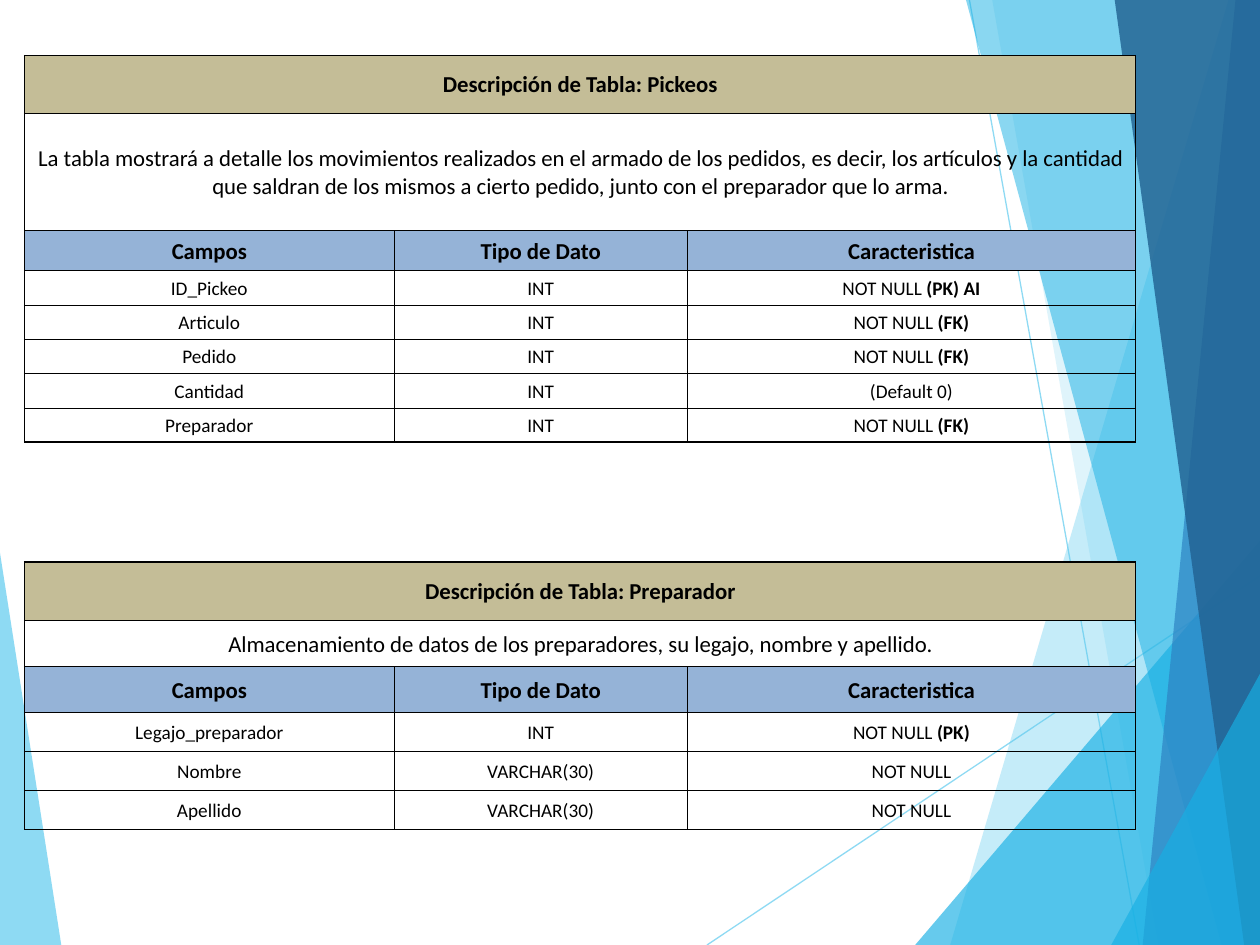
from lxml import etree
from pptx import Presentation
from pptx.dml.color import RGBColor
from pptx.enum.shapes import MSO_CONNECTOR
from pptx.enum.text import MSO_ANCHOR, PP_ALIGN
from pptx.oxml.ns import qn
from pptx.util import Pt

STRAIGHT = MSO_CONNECTOR.STRAIGHT
MIDDLE = MSO_ANCHOR.MIDDLE
CENTER = PP_ALIGN.CENTER

BLACK = RGBColor(0x00, 0x00, 0x00)
TAN = RGBColor(0xC4, 0xBD, 0x97)
PERIWINKLE = RGBColor(0x95, 0xB3, 0xD7)
SKY = RGBColor(0x5F, 0xCB, 0xEF)
CYAN = RGBColor(0x17, 0xB0, 0xE4)
BLUE = RGBColor(0x2E, 0x83, 0xC3)
NAVY = RGBColor(0x22, 0x62, 0x92)

WIDTH, HEIGHT = 720, 540
TABLE_LEFT = 14
COLUMN_WIDTHS = (211.2, 167.5, 256.3)
OUTER_LINE, INNER_LINE = 1, 0.5
CELL_FORMAT = {
    "vertical_anchor": MIDDLE,
    "margin_left": Pt(0.7),
    "margin_top": Pt(0.7),
    "margin_right": Pt(0.7),
    "margin_bottom": Pt(0),
}
HEADINGS = (("Campos",), ("Tipo de Dato",), ("Caracteristica",))

# Colour, opacity in percent, corner points
LEFT_FACET = (SKY, 70, ((0, 316), (35, HEIGHT), (0, HEIGHT)))
RIGHT_FACETS = (
    (SKY, 36, ((702, 0), (543, HEIGHT), (WIDTH, HEIGHT), (WIDTH, 0))),
    (SKY, 20, ((567, 0), (662, HEIGHT), (WIDTH, HEIGHT), (WIDTH, 0))),
    (CYAN, 66, ((523, HEIGHT), (WIDTH, 309), (WIDTH, HEIGHT))),
    (CYAN, 50, ((552, 0), (698, HEIGHT), (WIDTH, HEIGHT), (WIDTH, 0))),
    (BLUE, 70, ((706, 0), (653, HEIGHT), (WIDTH, HEIGHT), (WIDTH, 0))),
    (NAVY, 82, ((637, 0), (711, HEIGHT), (WIDTH, HEIGHT), (WIDTH, 0))),
    (CYAN, 66, ((635, HEIGHT), (WIDTH, 385), (WIDTH, HEIGHT))),
)
RAYS = ((404, HEIGHT, WIDTH, 329), (554, 0, 651, HEIGHT))

# The second part of a characteristic is bold
PICKEOS = {
    "top": 31.8,
    "head_heights": (33, 67, 23),
    "field_height": 19.6,
    "title": "Descripción de Tabla: Pickeos",
    "summary": "La tabla mostrará a detalle los movimientos realizados en el "
               "armado de los pedidos, es decir, los artículos y la cantidad "
               "que saldran de los mismos a cierto pedido, junto con el "
               "preparador que lo arma.",
    "fields": (
        (("ID_Pickeo",), ("INT",), ("NOT NULL ", "(PK) AI")),
        (("Articulo",), ("INT",), ("NOT NULL ", "(FK)")),
        (("Pedido",), ("INT",), ("NOT NULL ", "(FK)")),
        (("Cantidad",), ("INT",), ("(Default 0)",)),
        (("Preparador",), ("INT",), ("NOT NULL ", "(FK)")),
    ),
}
PREPARADOR = {
    "top": 321.2,
    "head_heights": (33.5, 26.3, 26.3),
    "field_height": 22.3,
    "title": "Descripción de Tabla: Preparador",
    "summary": "Almacenamiento de datos de los preparadores, su legajo, "
               "nombre y apellido.",
    "fields": (
        (("Legajo_preparador",), ("INT",), ("NOT NULL ", "(PK)")),
        (("Nombre",), ("VARCHAR(30)",), ("NOT NULL",)),
        (("Apellido",), ("VARCHAR(30)",), ("NOT NULL",)),
    ),
}


def set_opacity(fill_parent, percent):
    """Make the solid colour found under an XML element partly transparent."""
    color = fill_parent.find(".//" + qn("a:srgbClr"))
    etree.SubElement(color, qn("a:alpha"), val=str(percent * 1000))


def add_facet(page, color, opacity, corners):
    builder = page.shapes.build_freeform(*corners[0], scale=Pt(1))
    builder.add_line_segments(corners[1:], close=True)
    facet = builder.convert_to_shape()
    facet.shadow.inherit = False
    facet.fill.solid()
    facet.fill.fore_color.rgb = color
    facet.line.fill.background()
    set_opacity(facet._element.spPr, opacity)


def add_ray(page, *ends):
    ray = page.shapes.add_connector(STRAIGHT, *map(Pt, ends))
    ray.line.color.rgb = SKY
    ray.line.width = Pt(0.75)
    properties = ray._element.spPr
    set_opacity(properties, 70)
    etree.SubElement(properties, qn("a:effectLst"))


def set_borders(cell, widths):
    """Draw black borders from a dict of side letter (L, R, T, B) to width."""
    properties = cell._tc.get_or_add_tcPr()
    for side, width in widths.items():
        line = etree.SubElement(properties, qn("a:ln" + side), w=str(Pt(width)))
        fill = etree.SubElement(line, qn("a:solidFill"))
        etree.SubElement(fill, qn("a:srgbClr"), val=str(BLACK))


def fill_cell(cell, color):
    if color is None:
        cell.fill.background()
    else:
        cell.fill.solid()
        cell.fill.fore_color.rgb = color


def write_cell(cell, parts, size, bold):
    """Write the text parts; any part after the first is bold."""
    para = cell.text_frame.paragraphs[0]
    para.alignment = CENTER
    for index, part in enumerate(parts):
        span = para.add_run()
        span.text = part
        span.font.color.rgb = BLACK
        font_format = {"name": "Calibri", "size": Pt(size), "bold": bold or index > 0}
        for name, value in font_format.items():
            setattr(span.font, name, value)


def add_description_table(page, content):
    # Text parts, fill, size and weight of each row
    rows = [
        (((content["title"],),), TAN, 13, True),
        (((content["summary"],),), None, 13, False),
        (HEADINGS, PERIWINKLE, 13, True),
    ]
    rows += [(field, None, 11, False) for field in content["fields"]]
    heights = list(content["head_heights"])
    heights += [content["field_height"]] * len(content["fields"])

    frame = page.shapes.add_table(
        len(rows), len(COLUMN_WIDTHS), Pt(TABLE_LEFT), Pt(content["top"]),
        Pt(sum(COLUMN_WIDTHS)), Pt(sum(heights)))
    table = frame.table
    table.first_row = table.horz_banding = False
    for column, width in zip(table.columns, COLUMN_WIDTHS):
        column.width = Pt(width)

    last_row, last_column = len(rows) - 1, len(COLUMN_WIDTHS) - 1
    for y, (texts, color, size, bold) in enumerate(rows):
        table.rows[y].height = Pt(heights[y])
        if len(texts) == 1:
            table.cell(y, 0).merge(table.cell(y, last_column))
        for x in range(last_column + 1):
            cell = table.cell(y, x)
            outer = {"L": x == 0, "R": x == last_column or len(texts) == 1,
                     "T": y == 0, "B": y == last_row}
            set_borders(cell, {side: OUTER_LINE if edge else INNER_LINE
                               for side, edge in outer.items()})
            fill_cell(cell, color)
            for name, value in CELL_FORMAT.items():
                setattr(cell, name, value)
            if x < len(texts):
                write_cell(cell, texts[x], size, bold)


def main():
    deck = Presentation()
    deck.slide_width, deck.slide_height = Pt(WIDTH), Pt(HEIGHT)
    page = deck.slides.add_slide(deck.slide_layouts[6])
    add_facet(page, *LEFT_FACET)
    for ray in RAYS:
        add_ray(page, *ray)
    for facet in RIGHT_FACETS:
        add_facet(page, *facet)
    for content in (PICKEOS, PREPARADOR):
        add_description_table(page, content)
    deck.save("out.pptx")


if __name__ == "__main__":
    main()
